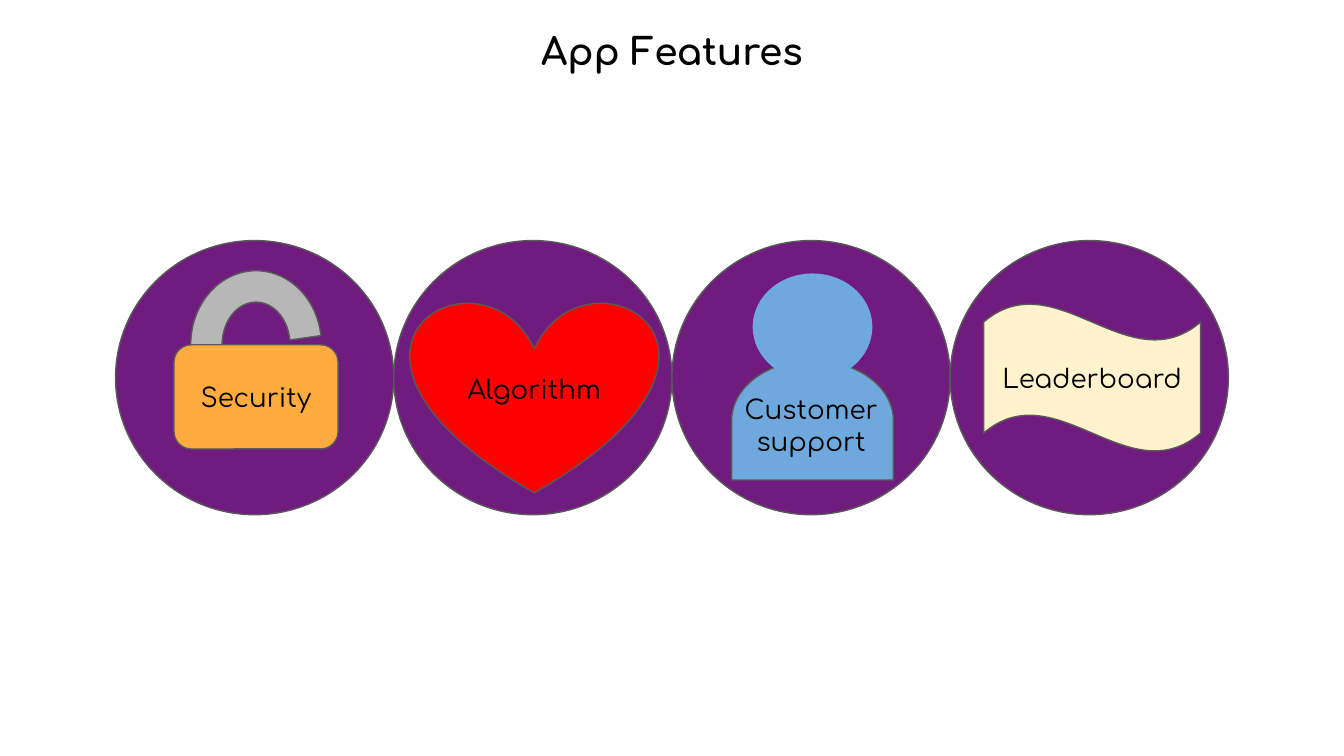
from pptx import Presentation
from pptx import util as u
from pptx.dml.color import RGBColor
from pptx.enum import shapes, text

PURPLE = RGBColor(0x70, 0x1C, 0x7F)
OUTLINE = RGBColor(0x59, 0x59, 0x59)
GREY = RGBColor(0xB7, 0xB7, 0xB7)
ORANGE = RGBColor(0xFF, 0xAB, 0x40)
RED = RGBColor(0xFF, 0x00, 0x00)
BLUE = RGBColor(0x6F, 0xA8, 0xDC)
CREAM = RGBColor(0xFF, 0xF2, 0xCC)
BLACK = RGBColor(0, 0, 0)

SLIDE_W = 10
SLIDE_H = SLIDE_W * 9 / 16
BADGE_W, BADGE_H, BADGE_TOP = 2.07, 2.04, 1.79
INSETS = dict.fromkeys(
    ("margin_left", "margin_top", "margin_right", "margin_bottom"), u.Inches(0.1))
KIND = shapes.MSO_SHAPE
ANCHOR = text.MSO_ANCHOR


def inside(box, shares):
    """Turn shares of a box (left, top, width, height) into inches."""
    left, top, width, height = box
    x, y, w, h = shares
    return left + x * width, top + y * height, w * width, h * height


def write(holder, words, size=14, bold=False, anchor=ANCHOR.MIDDLE):
    frame = holder.text_frame
    frame.text = words
    paragraph = frame.paragraphs[0]
    paragraph.alignment = text.PP_ALIGN.CENTER
    layout = dict(INSETS, word_wrap=True, vertical_anchor=anchor,
                  auto_size=text.MSO_AUTO_SIZE.NONE)
    for name, value in layout.items():
        setattr(frame, name, value)
    style = {"name": "Comfortaa", "size": u.Pt(size), "bold": bold}
    for name, value in style.items():
        setattr(paragraph.runs[0].font, name, value)
    paragraph.runs[0].font.color.rgb = BLACK


def draw(slide, kind, box, fill, label=None, outlined=True, adjust=()):
    part = slide.shapes.add_shape(kind, *map(u.Inches, box))
    part.shadow.inherit = False
    part.fill.solid()
    part.fill.fore_color.rgb = fill
    if outlined:
        part.line.color.rgb = OUTLINE
        part.line.width = u.Pt(0.75)
    else:
        part.line.fill.background()
    for index, value in enumerate(adjust):
        part.adjustments[index] = value
    if label:
        write(part, label)
    return part


def heading(slide, box):
    title = slide.shapes.title
    for name, value in zip(("left", "top", "width", "height"), box):
        setattr(title, name, u.Inches(value))
    write(title, "App Features", size=20, bold=True, anchor=ANCHOR.TOP)


def security(slide, box):
    # The shackle sits behind the lock body
    draw(slide, KIND.BLOCK_ARC, inside(box, (0.27, 0.11, 0.47, 0.54)), GREY,
         adjust=(108, 211.2, 0.24))
    draw(slide, KIND.ROUNDED_RECTANGLE, inside(box, (0.21, 0.38, 0.59, 0.38)),
         ORANGE, "Security")


def algorithm(slide, box):
    draw(slide, KIND.HEART, inside(box, (0.06, 0.22, 0.89, 0.7)), RED, "Algorithm")


def customer_support(slide, box):
    # Shoulders, head, then the label over both
    shoulders = draw(slide, KIND.FLOWCHART_DELAY,
                     inside(box, (0.29, 0.36, 0.43, 0.59)), BLUE)
    shoulders.rotation = 270
    draw(slide, KIND.OVAL, inside(box, (0.29, 0.12, 0.43, 0.39)), BLUE,
         outlined=False)
    label = slide.shapes.add_textbox(
        *map(u.Inches, inside(box, (0.2, 0.51, 0.6, 0.33))))
    write(label, "Customer support", anchor=ANCHOR.TOP)


def leaderboard(slide, box):
    draw(slide, KIND.WAVE, inside(box, (0.12, 0.23, 0.78, 0.54)), CREAM,
         "Leaderboard", adjust=(0.125, 0))


def main():
    deck = Presentation()
    deck.slide_width, deck.slide_height = u.Inches(SLIDE_W), u.Inches(SLIDE_H)
    slide = deck.slides.add_slide(deck.slide_layouts[5])
    heading(slide, inside((0, 0, SLIDE_W, SLIDE_H), (0.28, 0.02, 0.44, 0.1)))

    # Row of touching badges, centred across the slide
    features = (security, algorithm, customer_support, leaderboard)
    row_left = (SLIDE_W - len(features) * BADGE_W) / 2
    for column, feature in enumerate(features):
        badge = (row_left + column * BADGE_W, BADGE_TOP, BADGE_W, BADGE_H)
        draw(slide, KIND.OVAL, badge, PURPLE)
        feature(slide, badge)

    deck.save("out.pptx")


if __name__ == "__main__":
    main()
